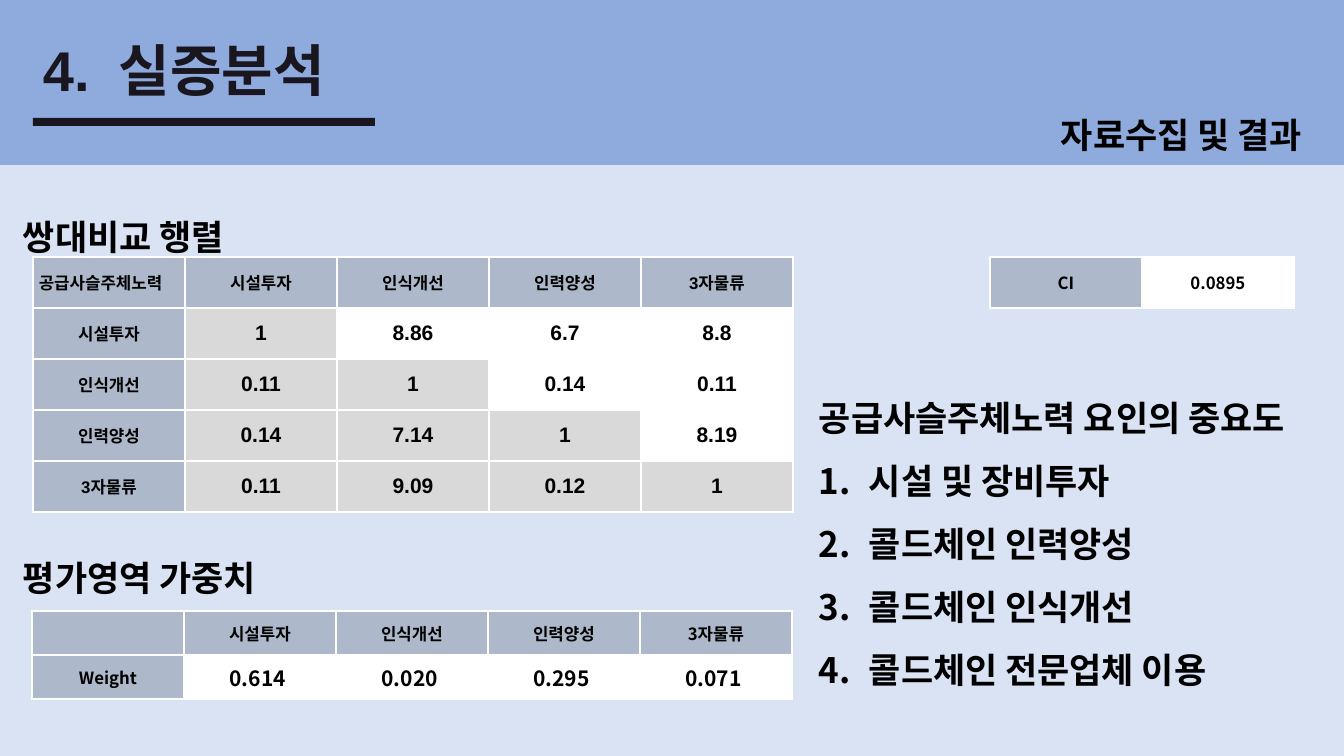
from lxml import etree
from pptx import Presentation
from pptx import util as u
from pptx.dml.color import RGBColor
from pptx.enum import shapes, text
from pptx.oxml.ns import qn

INK, BLACK, WHITE = "19161F", "000000", "FFFFFF"
BAND, PALE, HEAD, GREY = "8FAADC", "DAE3F3", "ADB9CA", "D9D9D9"
LATIN, NOTO = "Arial", "Noto Sans CJK KR"


def color(code):
    return RGBColor.from_string(code)


def px(n):
    return u.Emu(round(n * 914400 / 100.8))


def node(parent, tag, **attrs):
    return etree.SubElement(parent, qn(tag), attrs)


class Page:
    """Style and the current slide; lengths are in px."""

    def __init__(self, deck, back):
        self.slide = deck.slides.add_slide(deck.slide_layouts[6])
        self.items = self.slide.shapes
        fill = self.slide.background.fill
        fill.solid()
        fill.fore_color.rgb = color(back)

    def style(self, para, size, font=LATIN, ink=BLACK):
        for run in para.runs:
            run.font.size = u.Pt(size)
            run.font.name = font
            run.font.bold = True
            run.font.color.rgb = color(ink)
            node(run.font._element, "a:ea", typeface=NOTO)

    def bar(self, x, y, w, h, fill):
        bar = self.items.add_shape(shapes.MSO_SHAPE.RECTANGLE, px(x), px(y), px(w), px(h))
        bar.shadow.inherit = False
        bar.fill.solid()
        bar.fill.fore_color.rgb = color(fill)
        bar.line.fill.background()

    def label(self, x, y, w, h, words, size=25, ink=BLACK, space=1.5, tab=0):
        frame = self.items.add_textbox(px(x), px(y), px(w), px(h)).text_frame
        frame.word_wrap = True
        frame.text = words
        for i, para in enumerate(frame.paragraphs):
            para.line_spacing = space
            props = para._p.get_or_add_pPr()
            if i:  # lines after the heading are numbered
                props.set("marL", str(px(50)))
                props.set("indent", str(px(-50)))
                node(props, "a:buFont", typeface=NOTO)
                node(props, "a:buAutoNum", type="arabicPeriod")
            if tab:
                node(node(props, "a:tabLst"), "a:tab", pos=str(px(tab)), algn="l")
            self.style(para, size, ink=ink)

    def cell(self, cell, words, size, font, fill):
        cell.margin_left = cell.margin_right = cell.margin_top = cell.margin_bottom = 0
        cell.vertical_anchor = text.MSO_ANCHOR.MIDDLE
        props = cell._tc.get_or_add_tcPr()
        for side in "LRTB":
            edge = node(props, f"a:ln{side}", w=str(u.Pt(1)))
            node(node(edge, "a:solidFill"), "a:srgbClr", val=WHITE)
        cell.fill.solid()
        cell.fill.fore_color.rgb = color(fill)
        cell.text_frame.text = words
        para = cell.text_frame.paragraphs[0]
        para.alignment = text.PP_ALIGN.CENTER
        self.style(para, size, font)

    def table(self, x, y, wide, high, rows, shade, size=15, font=NOTO):
        count = len(rows[0])
        grid = self.items.add_table(len(rows), count, px(x), px(y),
                                    px(wide * count), px(high * len(rows))).table
        grid.first_row = grid.horz_banding = False
        for r, row in enumerate(rows):
            for c, words in enumerate(row):
                fill = shade(r, c)
                self.cell(grid.cell(r, c), words, 12 if fill == HEAD else size, font, fill)


def plain(r, c):
    return HEAD if r == 0 or c == 0 else WHITE


def lower(r, c):
    return GREY if 0 < c <= r else plain(r, c)


def first(r, c):
    return WHITE if c else HEAD


deck = Presentation()
deck.slide_width, deck.slide_height = px(1344), px(756)
page = Page(deck, PALE)

# Title band
page.bar(0, 0, 1344, 165, BAND)
page.label(33, 31, 314, 78, "4.\t실증분석", 40, INK, 1.0, tab=76)
page.bar(33, 118, 342, 8, INK)
page.label(1051, 88, 292, 66, "자료수집 및 결과")

# Section headings
page.label(13, 190, 245, 66, "쌍대비교 행렬")
page.label(13, 531, 280, 66, "평가영역 가중치")

# Ranking of factors
page.label(809, 371, 535, 321, "\n".join([
    "공급사슬주체노력 요인의 중요도",
    "시설 및 장비투자",
    "콜드체인 인력양성",
    "콜드체인 인식개선",
    "콜드체인 전문업체 이용",
]))

# Weights, pairwise matrix and consistency index
names = ["시설투자", "인식개선", "인력양성", "3자물류"]
weights = ["0.614 ", "0.020 ", "0.295 ", "0.071 "]
ratios = [
    ["1", "8.86", "6.7", "8.8"],
    ["0.11", "1", "0.14", "0.11"],
    ["0.14", "7.14", "1", "8.19"],
    ["0.11", "9.09", "0.12", "1"],
]
page.table(32, 611, 152, 44, [[""] + names, ["Weight"] + weights], plain)
matrix = [["공급사슬주체노력　"] + names]
matrix += [[name] + row for name, row in zip(names, ratios)]
page.table(33, 257, 152, 51, matrix, lower, font=LATIN)
page.table(990, 257, 152, 51, [["CI", "0.0895"]], first, size=12)

deck.save("out.pptx")
